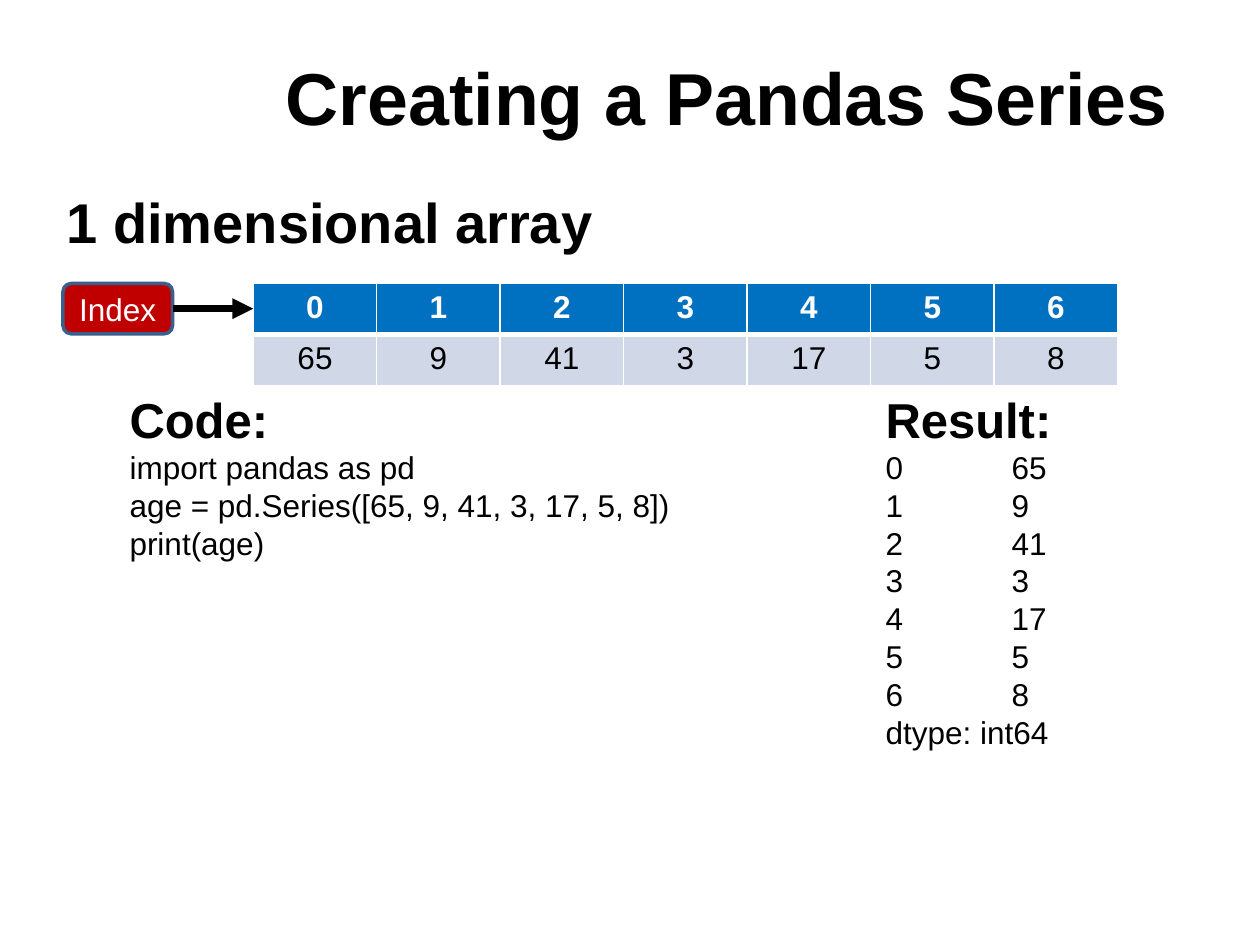
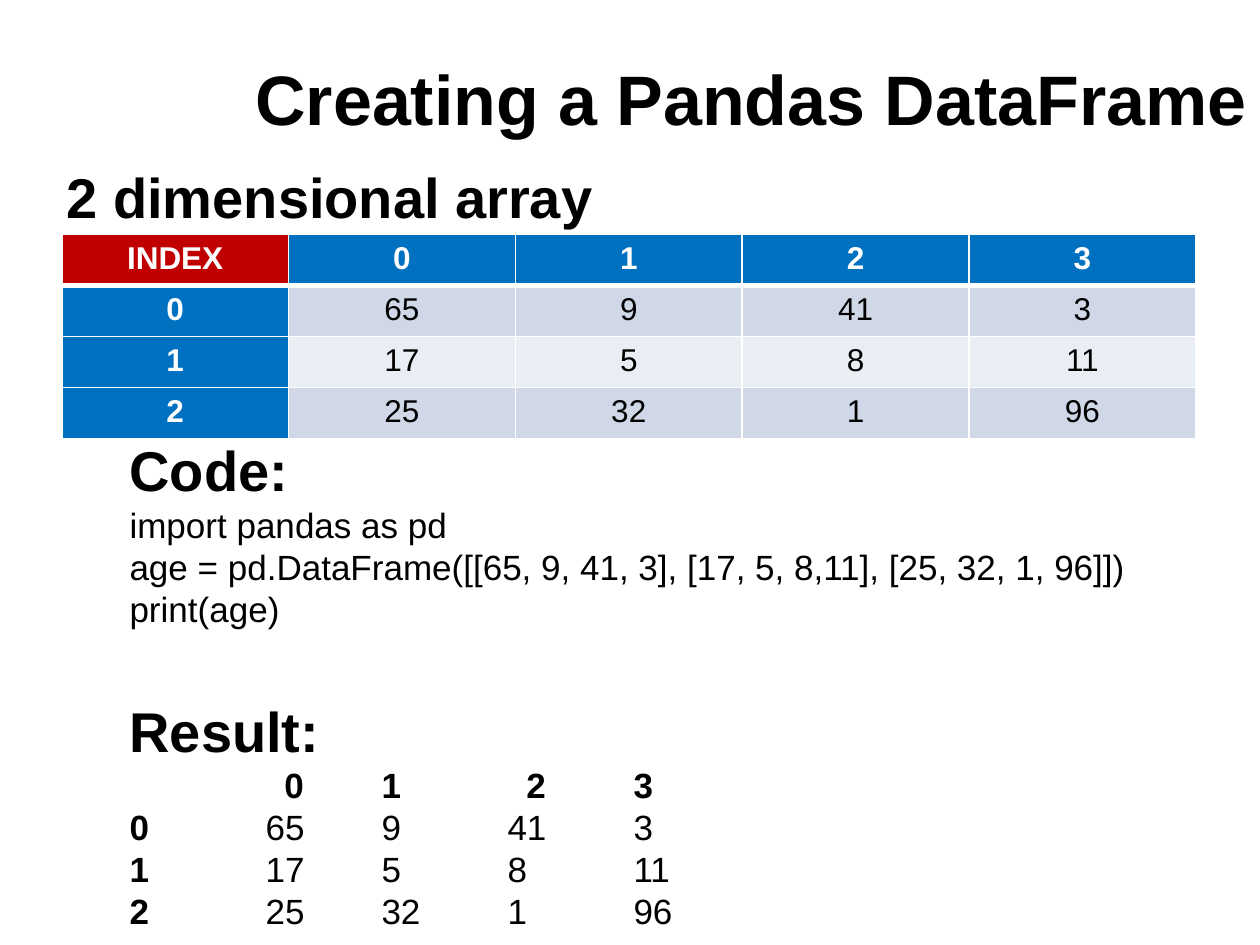
from dataclasses import dataclass

from lxml.etree import SubElement
from pptx import Presentation
from pptx.dml.color import RGBColor
from pptx.enum.shapes import MSO_CONNECTOR, MSO_SHAPE
from pptx.enum.text import MSO_ANCHOR, PP_ALIGN
from pptx.oxml.ns import qn
from pptx.util import Inches, Pt


@dataclass(frozen=True)
class Theme:
    font: str = "Arial"
    black: RGBColor = RGBColor(0x00, 0x00, 0x00)
    white: RGBColor = RGBColor(0xFF, 0xFF, 0xFF)
    blue: RGBColor = RGBColor(0x00, 0x70, 0xC0)
    red: RGBColor = RGBColor(0xC0, 0x00, 0x00)
    outline: RGBColor = RGBColor(0x3A, 0x5F, 0x8C)
    bands: tuple = (RGBColor(0xD0, 0xD8, 0xE8), RGBColor(0xE9, 0xED, 0xF4))
    heading: int = 32
    label: int = 28
    code: int = 20
    small: int = 18


theme = Theme()


def add_text(page, left, top, width, height, lines):
    """Add a text box; each line is (text, size, bold) and optional tab stops."""
    box = page.shapes.add_textbox(Inches(left), Inches(top), Inches(width), Inches(height))
    frame = box.text_frame
    frame.word_wrap = True
    for number, (text, size, bold, *stops) in enumerate(lines):
        para = frame.add_paragraph() if number else frame.paragraphs[0]
        para.text = text
        if stops:
            tab_list = SubElement(para._p.get_or_add_pPr(), qn("a:tabLst"))
            for stop in stops:
                SubElement(tab_list, qn("a:tab"), pos=str(Inches(stop)), algn="l")
        para.font.name = theme.font
        para.font.size = Pt(size)
        para.font.bold = bold
        para.font.color.rgb = theme.black
    return frame


def add_grid(page, left, top, column_width, rows, index_column=False):
    """Add a table with a blue header, banded rows and white rules."""
    row_height = Inches(0.81) // 2
    table = page.shapes.add_table(
        len(rows), len(rows[0]), Inches(left), Inches(top),
        Inches(column_width) * len(rows[0]), row_height * len(rows)).table
    table.first_col = index_column
    for row_number, values in enumerate(rows):
        table.rows[row_number].height = row_height
        for column_number, value in enumerate(values):
            cell = table.cell(row_number, column_number)
            is_header = row_number == 0 or (index_column and column_number == 0)
            for side in ("lnL", "lnR", "lnT", "lnB"):
                weight = 3 if row_number == 0 and side == "lnB" else 1
                rule = SubElement(cell._tc.get_or_add_tcPr(), qn(f"a:{side}"), w=str(Pt(weight)))
                SubElement(SubElement(rule, qn("a:solidFill")), qn("a:srgbClr"), val=str(theme.white))
            cell.fill.solid()
            cell.fill.fore_color.rgb = theme.blue if is_header else theme.bands[(row_number - 1) % 2]
            cell.text = str(value)
            para = cell.text_frame.paragraphs[0]
            para.alignment = PP_ALIGN.CENTER
            para.font.name = theme.font
            para.font.size = Pt(theme.small)
            para.font.bold = is_header
            para.font.color.rgb = theme.white if is_header else theme.black
    return table


deck = Presentation()
deck.slide_width, deck.slide_height = Inches(10), Inches(7.5)

# Titles and headings of both slides
pages = []
for title, title_left, title_size, heading, heading_top in (
    ("Creating a Pandas Series", 2.17, 42, "1 dimensional array", 1.44),
    ("Creating a Pandas DataFrame", 1.93, 40, "2 dimensional array", 1.24),
):
    page = deck.slides.add_slide(deck.slide_layouts[6])
    frame = add_text(page, title_left, 0.27, 9, 0.94, [(title, title_size, True)])
    frame.vertical_anchor = MSO_ANCHOR.BOTTOM
    frame.margin_top = frame.margin_bottom = Inches(0.1)
    add_text(page, 0.43, heading_top, 9.07, 0.62, [(heading, theme.heading, True)])
    pages.append(page)
series_page, frame_page = pages

# Series: table of values
ages = [65, 9, 41, 3, 17, 5, 8]
add_grid(series_page, 2.01, 2.25, 0.98, [range(len(ages)), ages])

# Series: index label and arrow
index_box = series_page.shapes.add_shape(
    MSO_SHAPE.ROUNDED_RECTANGLE, Inches(0.5), Inches(2.25), Inches(0.87), Inches(0.4))
index_box.shadow.inherit = False
index_box.fill.solid()
index_box.fill.fore_color.rgb = theme.red
index_box.line.color.rgb = theme.outline
index_box.line.width = Pt(2)
index_box.text_frame.word_wrap = False
index_box.text_frame.vertical_anchor = MSO_ANCHOR.MIDDLE
para = index_box.text_frame.paragraphs[0]
para.text = "Index"
para.alignment = PP_ALIGN.CENTER
para.font.name = theme.font
para.font.size = Pt(theme.small)
para.font.color.rgb = theme.white

arrow = series_page.shapes.add_connector(
    MSO_CONNECTOR.STRAIGHT, Inches(1.37), Inches(2.45), Inches(2.01), Inches(2.45))
arrow.begin_connect(index_box, 3)
arrow.line.color.rgb = theme.black
arrow.line.width = Pt(4)
SubElement(arrow.line._get_or_add_ln(), qn("a:tailEnd"), type="triangle")
SubElement(arrow._element.spPr, qn("a:effectLst"))

# Series: code and result side by side
code = ["import pandas as pd", "age = pd.Series([65, 9, 41, 3, 17, 5, 8])", "print(age)"]
result = [f"{index}\t{age}" for index, age in enumerate(ages)] + ["dtype: int64"]
for left, width, label, lines in ((0.93, 5.9, "Code:", code), (6.93, 2.5, "Result:", result)):
    add_text(series_page, left, 3.04, width, 0.57 + 0.3 * len(lines),
             [(label, theme.label, True)] + [(line, theme.small, False, 1) for line in lines])

# DataFrame: table of values
records = [[65, 9, 41, 3], [17, 5, 8, 11], [25, 32, 1, 96]]
rows = [["INDEX", *range(4)]] + [[index, *record] for index, record in enumerate(records)]
table = add_grid(frame_page, 0.49, 1.86, 1.8, rows, index_column=True)
table.cell(0, 0).fill.fore_color.rgb = theme.red

# DataFrame: code
code = [
    "import pandas as pd",
    "age = pd.DataFrame([[65, 9, 41, 3], [17, 5, 8,11], [25, 32, 1, 96]])",
    "print(age)",
]
add_text(frame_page, 0.93, 3.41, 8.57, 1.63,
         [("Code:", theme.heading, True)] + [(line, theme.code, False) for line in code])

# DataFrame: result, with bold index labels before the values
result = [("Result:", theme.heading, True),
          ("\t0\t1\t2\t3", theme.code, True, 1.23, 2, 3.15, 4)]
result += [(str(index), theme.code, True, 1.08, 2, 3, 4) for index in range(len(records))]
frame = add_text(frame_page, 0.93, 5.48, 8.57, 1.97, result)
for para, record in zip(frame.paragraphs[2:], records):
    span = para.add_run()
    span.text = "".join(f"\t{value}" for value in record)
    span.font.bold = False

deck.save("out.pptx")
